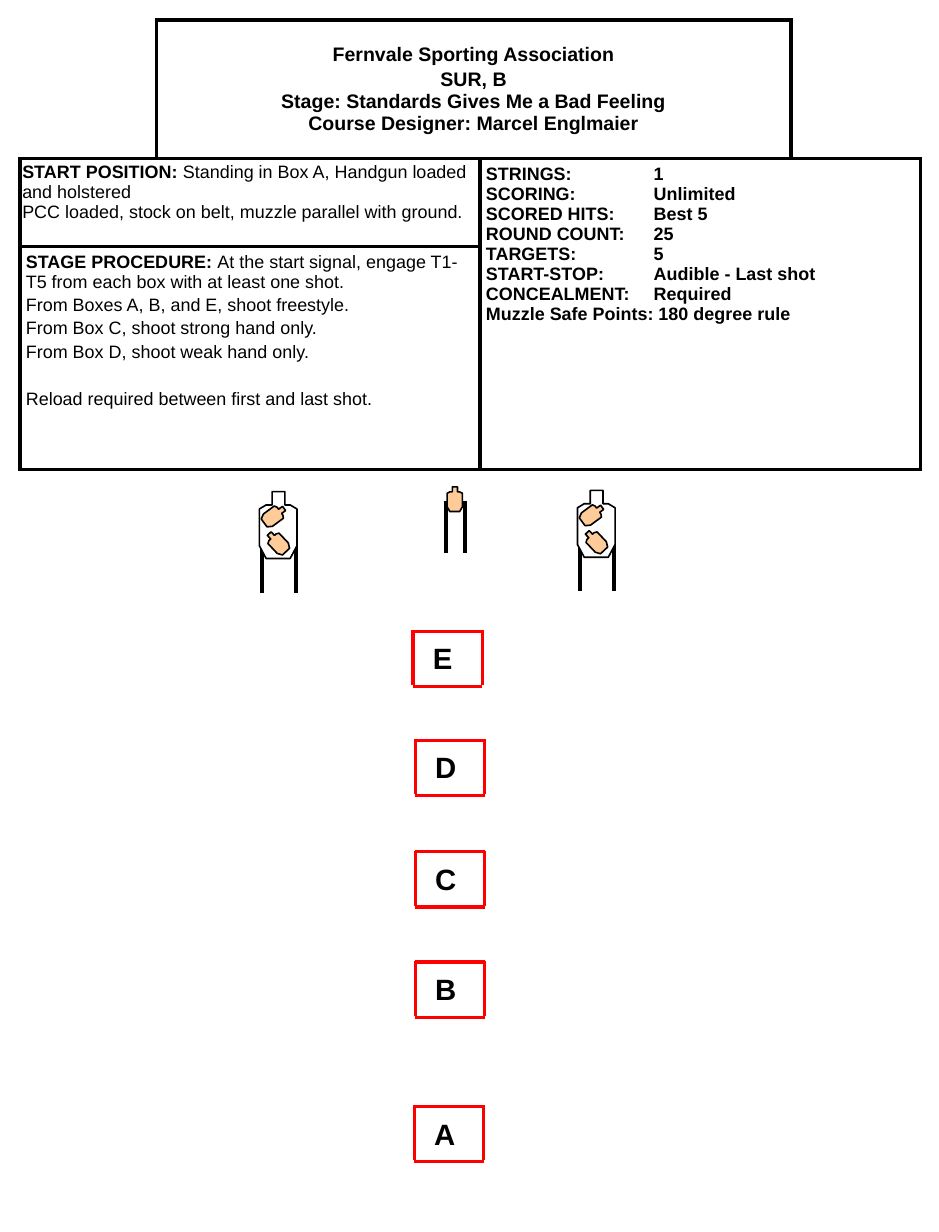
from dataclasses import dataclass

from lxml.etree import SubElement
from pptx import Presentation
from pptx.dml.color import RGBColor
from pptx.enum.shapes import MSO_CONNECTOR
from pptx.enum.text import MSO_ANCHOR, PP_ALIGN
from pptx.oxml.ns import qn
from pptx.util import Inches, Pt

BLACK = RGBColor(0x00, 0x00, 0x00)
WHITE = RGBColor(0xFF, 0xFF, 0xFF)
RED = RGBColor(0xFF, 0x00, 0x00)
TAN = RGBColor(0xFF, 0xCC, 0x99)
FONT = "Arial"

BOX_W, BOX_H = 0.59, 0.47
FULL_SIZE = (0.32, 0.57)
SMALL_SIZE = (0.13, 0.21)
POST_H = 0.44
# Target outline as fractions of its width and height
SILHOUETTE = [
    (0.34, 0), (0.68, 0), (0.68, 0.2), (0.82, 0.2), (1, 0.26), (1, 0.81),
    (0.82, 1), (0.18, 1), (0, 0.81), (0, 0.26), (0.18, 0.2), (0.34, 0.2),
]

START_POSITION = "Standing in Box A, Handgun loaded and holstered"
START_PCC = "PCC loaded, stock on belt, muzzle parallel with ground."
PROCEDURE = "At the start signal, engage T1-T5 from each box with at least one shot."
STEPS = [
    "From Boxes A, B, and E, shoot freestyle.",
    "From Box C, shoot strong hand only.",
    "From Box D, shoot weak hand only.",
]
RELOAD = "Reload required between first and last shot."
TITLE = "Fernvale Sporting Association"
SUBTITLE = [
    "SUR, B",
    "Stage: Standards Gives Me a Bad Feeling",
    "Course Designer: Marcel Englmaier",
]
FACTS = [
    ("STRINGS:", "1"),
    ("SCORING:", "Unlimited"),
    ("SCORED HITS:", "Best 5"),
    ("ROUND COUNT:", "25"),
    ("TARGETS:", "5"),
    ("START-STOP:", "Audible - Last shot"),
    ("CONCEALMENT:", "Required"),
]
MUZZLE_RULE = "Muzzle Safe Points: 180 degree rule"


@dataclass
class ShootingBox:
    label: str
    left: float
    top: float


@dataclass
class Target:
    left: float
    top: float
    size: tuple[float, float]
    posts: tuple[float, float]
    post_top: float
    color: RGBColor
    overlays: tuple[tuple[float, float, float], ...] = ()  # dx, dy, rotation


OVERLAYS = ((0.06, 0.1, 53.6), (0.09, 0.33, 316.7))
TARGETS = [
    Target(2.21, 4.19, FULL_SIZE, (0.02, 0.31), 0.42, WHITE, OVERLAYS),
    Target(3.81, 4.15, SMALL_SIZE, (-0.01, 0.15), 0.12, TAN),
    Target(4.92, 4.18, FULL_SIZE, (0.02, 0.31), 0.42, WHITE, OVERLAYS),
]
BOXES = [
    ShootingBox("E", 3.52, 5.38),
    ShootingBox("D", 3.54, 6.31),
    ShootingBox("C", 3.54, 7.26),
    ShootingBox("B", 3.54, 8.2),
    ShootingBox("A", 3.53, 9.43),
]


def add_run(p, text: str, size: float, bold: bool = False) -> None:
    r = p.add_run()
    r.text = text
    r.font.name = FONT
    r.font.size = Pt(size)
    r.font.bold = bold
    r.font.color.rgb = BLACK


def add_paragraph(tf, text: str, space: float = 0, size: float = 11, bold: bool = False):
    p = tf.add_paragraph()
    p.space_before = Pt(space)
    add_run(p, text, size, bold)
    return p


def set_borders(cell, sides: str) -> None:
    tc_pr = cell._tc.get_or_add_tcPr()
    for side in sides:
        ln = SubElement(tc_pr, qn(f"a:ln{side}"), w=str(Pt(2.25)))
        fill = SubElement(ln, qn("a:solidFill"))
        SubElement(fill, qn("a:srgbClr"), val=str(BLACK))


def set_margins(cell, x: float, y: float) -> None:
    cell.margin_left = cell.margin_right = Inches(x)
    cell.margin_top = cell.margin_bottom = Inches(y)


def add_tab_stop(p, position: float) -> None:
    tabs = SubElement(p._p.get_or_add_pPr(), qn("a:tabLst"))
    SubElement(tabs, qn("a:tab"), pos=str(Inches(position)), algn="l")


def add_stage_table(s) -> None:
    table = s.shapes.add_table(3, 4, Inches(0.17), Inches(0.17), Inches(7.67), Inches(3.83)).table
    table.first_row = table.horz_banding = False
    for column, width in zip(table.columns, (1.16, 2.76, 2.65, 1.1)):
        column.width = Inches(width)
    for row, height in zip(table.rows, (1.18, 0.75, 1.9)):
        row.height = Inches(height)

    open_corners = {(0, 0): "RB", (0, 3): "LB"}
    for i in range(3):
        for j in range(4):
            cell = table.cell(i, j)
            set_borders(cell, open_corners.get((i, j), "LRTB"))
            cell.fill.solid()
            cell.fill.fore_color.rgb = WHITE
            set_margins(cell, 0.05, 0.05)

    header, start, facts, procedure = (
        table.cell(0, 1), table.cell(1, 0), table.cell(1, 2), table.cell(2, 0))
    header.merge(table.cell(0, 2))
    start.merge(table.cell(1, 1))
    facts.merge(table.cell(2, 3))
    procedure.merge(table.cell(2, 1))

    header.vertical_anchor = MSO_ANCHOR.MIDDLE
    tf = header.text_frame
    add_run(tf.paragraphs[0], TITLE, 12, True)
    p = add_paragraph(tf, SUBTITLE[0], 2, 12, True)
    for line in SUBTITLE[1:]:
        p.add_line_break()
        add_run(p, line, 12, True)
    for p in tf.paragraphs:
        p.alignment = PP_ALIGN.CENTER

    set_margins(start, 0.02, 0.03)
    tf = start.text_frame
    add_run(tf.paragraphs[0], "START POSITION: ", 11, True)
    add_run(tf.paragraphs[0], START_POSITION, 11)
    add_paragraph(tf, START_PCC)

    tf = facts.text_frame
    for i, (name, value) in enumerate(FACTS):
        p = tf.add_paragraph() if i else tf.paragraphs[0]
        add_tab_stop(p, 1.43)
        add_run(p, f"{name}\t{value}", 11, True)
    add_paragraph(tf, MUZZLE_RULE, bold=True)

    tf = procedure.text_frame
    add_run(tf.paragraphs[0], "STAGE PROCEDURE: ", 11, True)
    add_run(tf.paragraphs[0], PROCEDURE, 11)
    for step in STEPS:
        add_paragraph(tf, step, 2)
    add_paragraph(tf, RELOAD, 17)


def add_line(shapes, x1: float, y1: float, x2: float, y2: float, color: RGBColor, width: float) -> None:
    line = shapes.add_connector(MSO_CONNECTOR.STRAIGHT, Inches(x1), Inches(y1), Inches(x2), Inches(y2))
    line.line.color.rgb = color
    line.line.width = Pt(width)
    SubElement(line._element.spPr, qn("a:effectLst"))


def add_silhouette(shapes, left: float, top: float, size: tuple[float, float],
                   color: RGBColor, rotation: float = 0) -> None:
    points = [(Inches(left + x * size[0]), Inches(top + y * size[1])) for x, y in SILHOUETTE]
    builder = shapes.build_freeform(*points[0], scale=1.0)
    builder.add_line_segments(points[1:], close=True)
    sp = builder.convert_to_shape()
    sp.shadow.inherit = False
    sp.fill.solid()
    sp.fill.fore_color.rgb = color
    sp.line.color.rgb = BLACK
    sp.line.width = Pt(1)
    sp.rotation = rotation


def add_target(s, target: Target) -> None:
    shapes = s.shapes.add_group_shape().shapes
    y = target.top + target.post_top
    for dx in target.posts:
        x = target.left + dx
        add_line(shapes, x, y, x, y + POST_H, BLACK, 2.25)
    add_silhouette(shapes, target.left, target.top, target.size, target.color)
    for dx, dy, rotation in target.overlays:
        add_silhouette(shapes, target.left + dx, target.top + dy, SMALL_SIZE, TAN, rotation)


def add_shooting_box(s, box: ShootingBox) -> None:
    shapes = s.shapes.add_group_shape().shapes
    right, bottom = box.left + BOX_W, box.top + BOX_H
    for y in (box.top, bottom):
        add_line(shapes, right, y, box.left, y, RED, 2)
    for x in (right, box.left):
        add_line(shapes, x, box.top - 0.01, x, bottom - 0.01, RED, 2)
    sp = shapes.add_textbox(Inches(box.left + 0.07), Inches(box.top + 0.03), Inches(0.37), Inches(0.4))
    add_run(sp.text_frame.paragraphs[0], box.label, 18, True)


def main() -> None:
    prs = Presentation()
    prs.slide_width, prs.slide_height = Inches(8), Inches(10.5)
    s = prs.slides.add_slide(prs.slide_layouts[6])
    add_stage_table(s)
    for target in TARGETS:
        add_target(s, target)
    for box in BOXES:
        add_shooting_box(s, box)
    prs.save("out.pptx")


if __name__ == "__main__":
    main()
